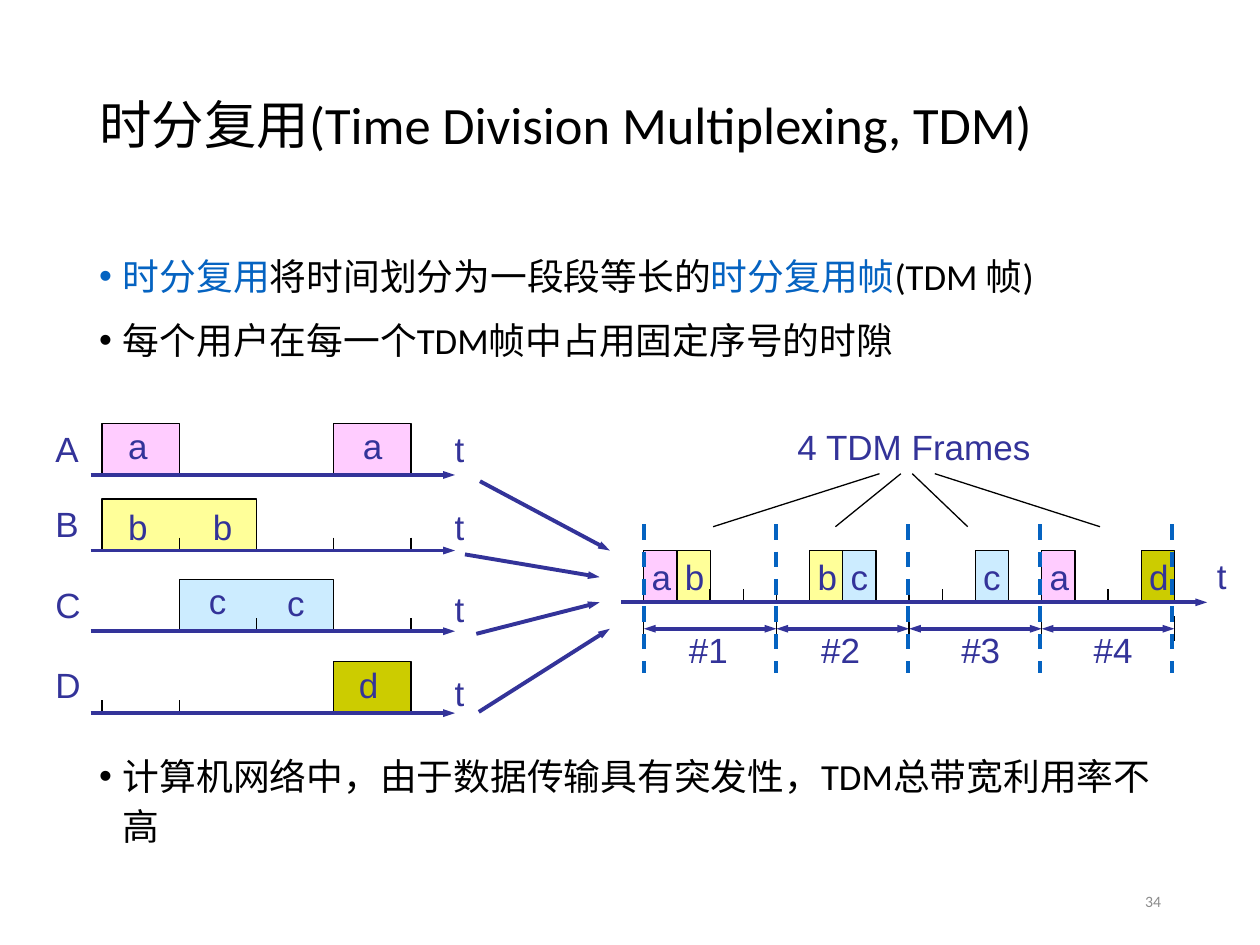
import pptx
import pptx.util
import pptx.dml.color
import pptx.enum.dml
import pptx.enum.shapes
import pptx.enum.text
import pptx.oxml
import pptx.oxml.ns
import lxml.etree

Pt = pptx.util.Pt
RGB = pptx.dml.color.RGBColor
BLACK = RGB(0x00, 0x00, 0x00)
NAVY = RGB(0x33, 0x33, 0x99)
BLUE = RGB(0x05, 0x63, 0xC1)
GREY = RGB(0x8C, 0x8C, 0x8C)
FILLS = {"a": RGB(0xFF, 0xCC, 0xFF), "b": RGB(0xFF, 0xFF, 0x99),
         "c": RGB(0xCC, 0xEC, 0xFF), "d": RGB(0xCC, 0xCC, 0x00)}
ANCHOR = pptx.enum.text.MSO_ANCHOR
ALIGN = pptx.enum.text.PP_ALIGN
FIT = pptx.enum.text.MSO_AUTO_SIZE

deck = pptx.Presentation()
deck.slide_width, deck.slide_height = Pt(720), Pt(540)
slide = deck.slides.add_slide(deck.slide_layouts[1])
shapes = slide.shapes


def label(text, left, top, width):
    box = shapes.add_textbox(Pt(left), Pt(top), Pt(width), Pt(31))
    box.text_frame.word_wrap = False
    para = box.text_frame.paragraphs[0]
    para.text = text
    para.font.size, para.font.name = Pt(20), "Arial"
    para.font.color.rgb = NAVY


def stroke(x1, y1, x2, y2, color=BLACK, width=0.75, ends=(), dash=False):
    line = shapes.add_connector(pptx.enum.shapes.MSO_CONNECTOR.STRAIGHT,
                                Pt(x1), Pt(y1), Pt(x2), Pt(y2))
    line.line.color.rgb = color
    line.line.width = Pt(width)
    if dash:
        line.line.dash_style = pptx.enum.dml.MSO_LINE.DASH
    props = line._element.spPr
    for end in ends:
        lxml.etree.SubElement(line.line._get_or_add_ln(), pptx.oxml.ns.qn("a:" + end),
                              type="triangle", w="sm", len="med")
    lxml.etree.SubElement(props, pptx.oxml.ns.qn("a:effectLst"))


# Title
title = shapes.title
title.left, title.top, title.width, title.height = Pt(49.5), Pt(28.8), Pt(621), Pt(88.5)
frame = title.text_frame
frame.auto_size, frame.vertical_anchor = FIT.NONE, ANCHOR.MIDDLE
para = frame.paragraphs[0]
para.text = "时分复用(Time Division Multiplexing, TDM)"
para.alignment, para.line_spacing = ALIGN.LEFT, 0.9
para.font.size, para.font.name = Pt(30), "Calibri"
para.font.color.rgb = BLACK

# Bullets; the wide gap before the last one holds the diagram
body = slide.placeholders[1]
body.left, body.top, body.width, body.height = Pt(49.5), Pt(138), Pt(621), Pt(348.5)
frame = body.text_frame
frame.auto_size = FIT.NONE
items = [
    (7.5, [("时分复用", BLUE), ("将时间划分为一段段等长的", BLACK),
           ("时分复用帧", BLUE), ("(TDM 帧)", BLACK)]),
    (7.5, [("每个用户在每一个TDM帧中占用固定序号的时隙", BLACK)]),
    (220.5, [("计算机网络中，由于数据传输具有突发性，TDM总带宽利用率不高", BLACK)]),
]
for i, (gap, runs) in enumerate(items):
    para = frame.paragraphs[0] if i == 0 else frame.add_paragraph()
    para.space_before, para.line_spacing = Pt(gap), 1.14
    para.font.size, para.font.name = Pt(21), "Calibri"
    props = para._p.get_or_add_pPr()
    props.set("marL", str(Pt(13.5)))
    props.set("indent", str(-Pt(13.5)))
    for text, color in runs:
        run = para.add_run()
        run.text = text
        run.font.color.rgb = color

# Time slots: four users on the left, the shared line on the right
LEFT, SLOT = 58.3, 44.15
RIGHT, STEP = 367.9, 18.95
FRAME = 4 * STEP
BASE = 344.2
rows = [271.4, 314.6, 360.7, 407.5]
WIDE = {"a": 26, "b": 26, "c": 24.5, "d": 26}

blocks = [(LEFT + n * SLOT, rows[row], count * SLOT, name)
          for row, n, count, name in [(0, 0, 1, "a"), (0, 3, 1, "a"), (1, 0, 2, "b"),
                                      (2, 1, 2, "c"), (3, 3, 1, "d")]]
sent = [(0, "a"), (1, "b"), (5, "b"), (6, "c"), (10, "c"), (12, "a"), (15, "d")]
blocks += [(RIGHT + n * STEP, BASE, STEP, name) for n, name in sent]
for x, y, width, name in blocks:
    path = shapes.build_freeform(Pt(x), Pt(y))
    path.add_line_segments([(Pt(x), Pt(y - 29.5)), (Pt(x + width), Pt(y - 29.5)),
                            (Pt(x + width), Pt(y))], close=False)
    block = path.convert_to_shape()
    block.shadow.inherit = False
    block.fill.solid()
    block.fill.fore_color.rgb = FILLS[name]
    block.line.color.rgb = BLACK
    block.line.width = Pt(0.75)

# Slot ticks
for row, n in [(1, 1), (1, 3), (1, 4), (2, 2), (2, 4), (3, 0), (3, 1), (3, 3)]:
    x = LEFT + n * SLOT
    stroke(x, rows[row] - 7.4, x, rows[row])
for n in (2, 3, 4, 8, 9, 14):
    x = RIGHT + n * STEP
    stroke(x, BASE - 7.4, x, BASE)

# Letters in the slots
for text, x, y in [("a", 66.2, 239), ("a", 200.2, 239), ("b", 66.2, 285.1),
                   ("b", 114.5, 285.1), ("c", 112.3, 327.6), ("c", 157, 329),
                   ("d", 198, 375.8)]:
    label(text, x, y, WIDE[text])
for n, text in sent:
    label(text, RIGHT + n * STEP - 2.6, 313.9, WIDE[text])

# User axes
for name, y, top, tip in zip("ABCD", rows, (240.5, 283.7, 329.8, 375.8),
                             (240.5, 285.1, 331.9, 380.2)):
    label(name, 24.5, top, 28.5)
    label("t", 252.7, tip, 20)
    stroke(51.8, y, 260, y, NAVY, 2.25, ["tailEnd"])

# Arrows from the users to the shared line
for ends in [(274.3, 275, 348.5, 314.6), (265.7, 316.8, 342.7, 329.8),
             (272.2, 362.2, 342.7, 344.2), (273.6, 406.8, 348.5, 359.3)]:
    stroke(*ends, NAVY, 2.25, ["tailEnd"])

# Shared axis
stroke(355, BASE, 689.8, BASE, NAVY, 2.25, ["tailEnd"])
label("t", 688.3, 313.2, 20)

# Frames: spans, numbers and borders
for n, x in enumerate((386.6, 462.2, 542.2, 617.8)):
    start = RIGHT + n * FRAME
    stroke(start, 359.3, start + FRAME, 359.3, NAVY, 2.25, ["headEnd", "tailEnd"])
    label(f"#{n + 1}", x, 355.7, 36.7)
for n in range(5):
    x = RIGHT + n * FRAME
    stroke(x, 352.1, x, 366.5)
    x = RIGHT + n * 75.45
    stroke(x, 299.5, x, 384.5, BLUE, 2.25, dash=True)

# Caption and its pointers
label("4 TDM Frames", 448.6, 239.8, 154)
for x1, x2 in [(407.5, 502.6), (477.4, 514.8), (553, 521.3), (628.6, 534.2)]:
    stroke(x1, 301, x2, 270.7)

# Page number
page = shapes.add_textbox(Pt(508.5), Pt(500.5), Pt(162), Pt(28.75))
page.text_frame.word_wrap = True
page.text_frame.vertical_anchor = ANCHOR.MIDDLE
para = page.text_frame.paragraphs[0]
para.text = "34"
para.alignment = ALIGN.RIGHT
para.font.size, para.font.name = Pt(9), "Calibri"
para.font.color.rgb = GREY

deck.save("out.pptx")
